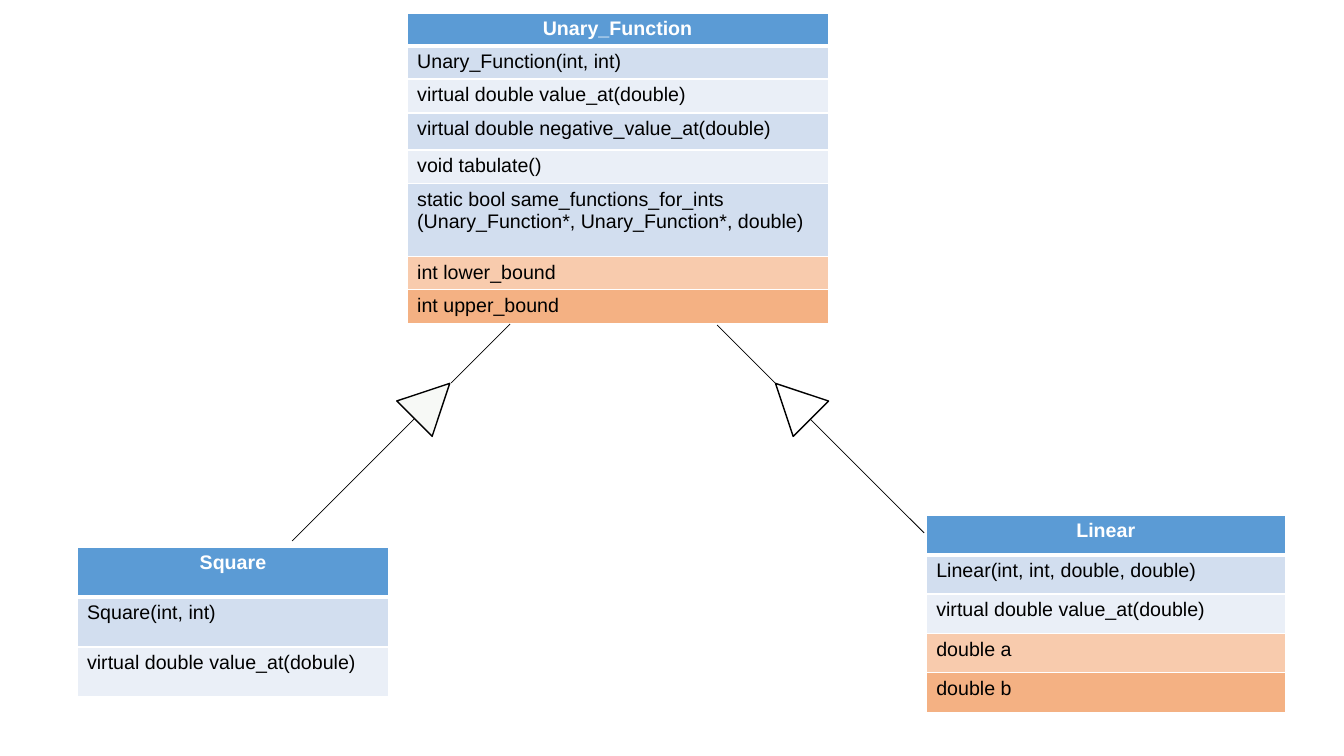
from lxml.etree import SubElement
from pptx import Presentation
from pptx.dml.color import RGBColor
from pptx.enum.shapes import MSO_CONNECTOR, MSO_SHAPE
from pptx.enum.text import PP_ALIGN
from pptx.oxml.ns import qn
from pptx.util import Emu, Inches, Pt

PIXEL = Inches(1) / 100.8
HEADER, WHITE, BLACK = "5B9BD5", "FFFFFF", "000000"
METHOD_FILLS = ("D2DEEF", "EAEFF7")
FIELD_FILLS = ("F8CBAD", "F4B183")

# Each class: place and width, row heights, methods and fields
CLASSES = [
    {
        "name": "Unary_Function",
        "place": (407, 13, 421),
        "rows": [33, 33, 34, 37, 34, 73, 33, 34],
        "methods": [
            "Unary_Function(int, int)",
            "virtual double value_at(double)",
            "virtual double negative_value_at(double)",
            "void tabulate()",
            "static bool same_functions_for_ints "
            "(Unary_Function*, Unary_Function*, double)",
        ],
        "fields": ["int lower_bound", "int upper_bound"],
    },
    {
        "name": "Square",
        "place": (77, 547, 312),
        "rows": [50, 50, 50],
        "methods": ["Square(int, int)", "virtual double value_at(dobule)"],
        "fields": [],
    },
    {
        "name": "Linear",
        "place": (926, 515, 359),
        "rows": [40, 39, 40, 39, 40],
        "methods": ["Linear(int, int, double, double)",
                    "virtual double value_at(double)"],
        "fields": ["double a", "double b"],
    },
]

# Each inheritance arrow: triangle place, rotation, fill, and its two lines
TRIANGLE_SIDE = 50
ARROWS = [
    ((407, 376), 45, "F7F9F6",
     [(414, 419, 292, 541), (451, 383, 510, 324)]),
    ((768, 376), 315, WHITE,
     [(810, 419, 924, 533), (775, 383, 717, 325)]),
]


def px(length):
    """Turn pixels into EMU."""
    return Emu(round(length * PIXEL))


def color(code):
    """Turn a hex string into a colour."""
    return RGBColor.from_string(code)


def write(frame, text, size=14, ink=BLACK, bold=False, align=PP_ALIGN.LEFT):
    """Put one formatted paragraph into a text frame."""
    para = frame.paragraphs[0]
    para.alignment = align
    span = para.add_run()
    span.text = text
    span.font.name = "Arial"
    span.font.size = Pt(size)
    span.font.bold = bold
    span.font.color.rgb = color(ink)


def add_borders(cell, top, bottom):
    """Give a cell white borders, with top and bottom widths in points."""
    properties = cell._tc.get_or_add_tcPr()
    for side, width in (("L", 1), ("R", 1), ("T", top), ("B", bottom)):
        border = SubElement(properties, qn("a:ln" + side), w=str(Pt(width)))
        fill = SubElement(border, qn("a:solidFill"))
        SubElement(fill, qn("a:srgbClr"), val=WHITE)


def add_class(page, name, place, rows, methods, fields):
    """Draw one class as a single-column table."""
    left, top, width = place
    table = page.shapes.add_table(
        len(rows), 1, px(left), px(top), px(width), px(sum(rows))).table
    texts = [name] + methods + fields
    fills = ([HEADER]
             + [METHOD_FILLS[i % 2] for i in range(len(methods))]
             + [FIELD_FILLS[i % 2] for i in range(len(fields))])
    for index, (height, text, fill) in enumerate(zip(rows, texts, fills)):
        table.rows[index].height = px(height)
        cell = table.cell(index, 0)
        add_borders(cell, top=3 if index == 1 else 1,
                    bottom=3 if index == 0 else 1)
        cell.fill.solid()
        cell.fill.fore_color.rgb = color(fill)
        if index == 0:
            write(cell.text_frame, text, ink=WHITE, bold=True,
                  align=PP_ALIGN.CENTER)
        else:
            write(cell.text_frame, text)


def add_line(page, ends):
    """Draw a thin black line between two points."""
    line = page.shapes.add_connector(
        MSO_CONNECTOR.STRAIGHT, *(px(value) for value in ends))
    line.line.color.rgb = color(BLACK)
    line.line.width = Pt(0.5)
    SubElement(line._element.spPr, qn("a:effectLst"))


def add_triangle(page, place, rotation, fill):
    """Draw the triangle of an inheritance arrow."""
    left, top = place
    triangle = page.shapes.add_shape(
        MSO_SHAPE.ISOSCELES_TRIANGLE, px(left), px(top),
        px(TRIANGLE_SIDE), px(TRIANGLE_SIDE))
    triangle.rotation = rotation
    triangle.shadow.inherit = False
    triangle.fill.solid()
    triangle.fill.fore_color.rgb = color(fill)
    triangle.line.color.rgb = color(BLACK)
    triangle.line.width = Pt(1)


deck = Presentation()
deck.slide_width, deck.slide_height = Inches(13.33), Inches(7.5)
page = deck.slides.add_slide(deck.slide_layouts[6])
for entry in CLASSES:
    add_class(page, **entry)
for place, rotation, fill, lines in ARROWS:
    add_triangle(page, place, rotation, fill)
    for ends in lines:
        add_line(page, ends)
deck.save("out.pptx")
